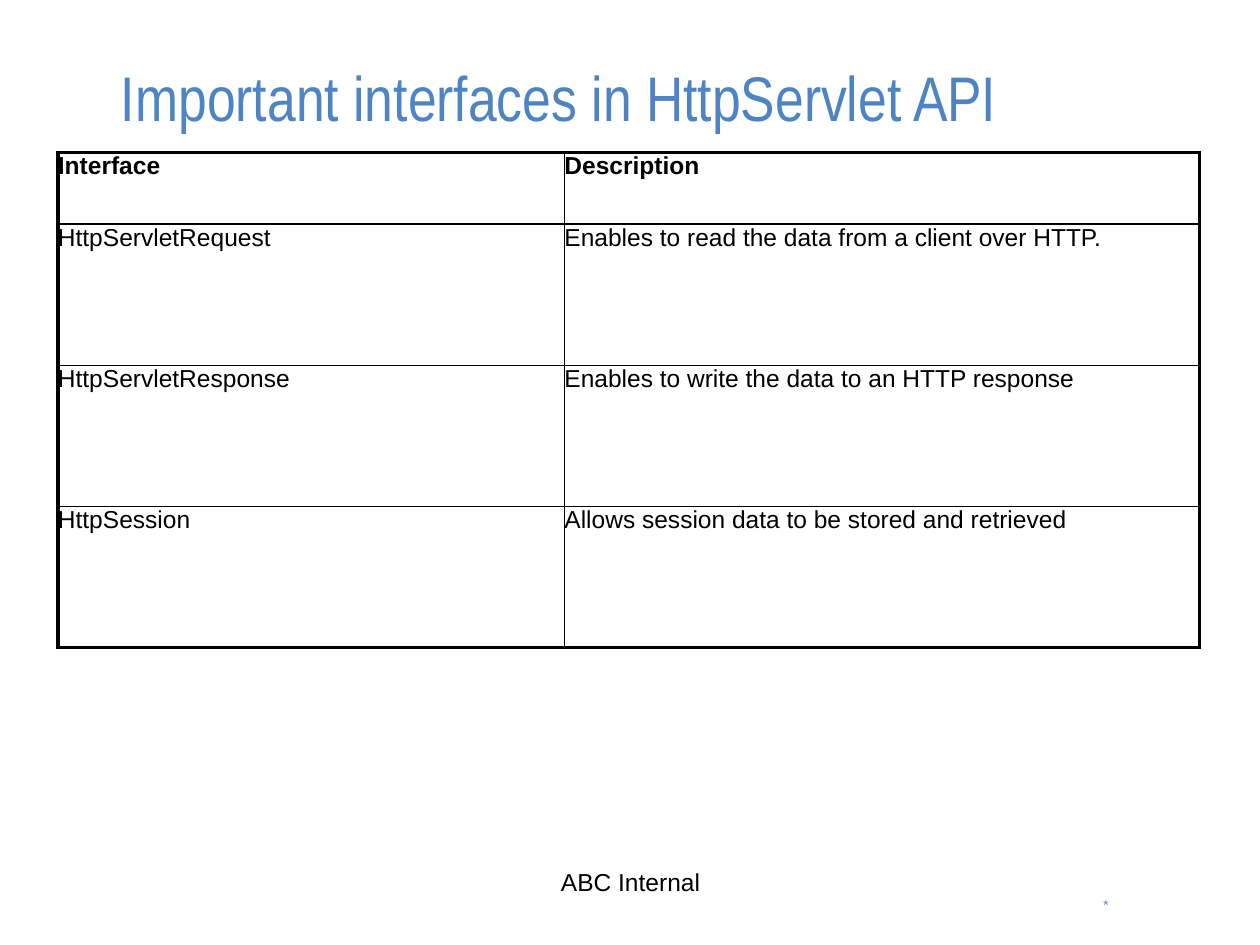
"""Build a slide with a table of the main HttpServlet interfaces."""
from lxml import etree
from pptx import Presentation
from pptx import util as u
from pptx.dml.color import RGBColor
from pptx.enum import text
from pptx.oxml.ns import qn

TITLE = "Important interfaces in HttpServlet API"
FOOTER = "ABC Internal"
MARK = "*"
ROWS = [
    ("Interface", "Description"),
    ("HttpServletRequest", "Enables to read the data from a client over HTTP."),
    ("HttpServletResponse", "Enables to write the data to an HTTP response"),
    ("HttpSession", "Allows session data to be stored and retrieved"),
]
COLUMN_WIDTHS = (4.02, 5.04)
HEADER_HEIGHT, BODY_HEIGHT = 0.57, 1.12
OUTER_LINE, INNER_LINE = 2.25, 1
THEME = {
    "title": ("Arial Narrow", 36, "4E84C4"),
    "body": ("Arial", 14, "000000"),
    "mark": ("Karla", 9, "4E84C4"),
    "border": "000000",
}


def write(frame, content, style, align, bold=False):
    frame.text = content
    para = frame.paragraphs[0]
    para.alignment = align
    name, size, color = THEME[style]
    para.font.name, para.font.size, para.font.bold = name, u.Pt(size), bold
    para.font.color.rgb = RGBColor.from_string(color)


def place(shape, left, top, width, height):
    shape.left, shape.top = u.Inches(left), u.Inches(top)
    shape.width, shape.height = u.Inches(width), u.Inches(height)


def add_text(slide, bounds, content, style, align):
    box = slide.shapes.add_textbox(*map(u.Inches, bounds))
    box.text_frame.word_wrap = True
    write(box.text_frame, content, style, align)


def set_borders(cell, outer_sides):
    properties = cell._tc.get_or_add_tcPr()
    for index, (side, outer) in enumerate(outer_sides.items()):
        width = u.Pt(OUTER_LINE if outer else INNER_LINE)
        line = etree.Element(qn(f"a:ln{side}"), w=str(int(width)))
        fill = etree.SubElement(line, qn("a:solidFill"))
        etree.SubElement(fill, qn("a:srgbClr"), val=THEME["border"])
        properties.insert(index, line)


def add_interface_table(slide, left, top):
    heights = [HEADER_HEIGHT] + [BODY_HEIGHT] * (len(ROWS) - 1)
    last_row, last_column = len(ROWS) - 1, len(COLUMN_WIDTHS) - 1
    bounds = (left, top, sum(COLUMN_WIDTHS), sum(heights))
    table = slide.shapes.add_table(
        len(ROWS), len(COLUMN_WIDTHS), *map(u.Inches, bounds)).table
    table.first_row = table.horz_banding = False
    for column, width in zip(table.columns, COLUMN_WIDTHS):
        column.width = u.Inches(width)
    for r, (values, height) in enumerate(zip(ROWS, heights)):
        table.rows[r].height = u.Inches(height)
        for c, value in enumerate(values):
            cell = table.cell(r, c)
            cell.margin_left = cell.margin_right = 0
            cell.margin_top = cell.margin_bottom = 0
            cell.fill.background()
            write(cell.text_frame, value, "body", text.PP_ALIGN.LEFT, r == 0)
            set_borders(cell, {"L": c == 0, "R": c == last_column,
                               "T": r == 0, "B": r == last_row})


def main():
    deck = Presentation()
    deck.slide_width, deck.slide_height = u.Inches(10), u.Inches(7.5)
    slide = deck.slides.add_slide(deck.slide_layouts[5])
    title = slide.shapes.title
    place(title, 0.86, 0, 8.75, 1.53)
    write(title.text_frame, TITLE, "title", text.PP_ALIGN.LEFT)
    title.text_frame.vertical_anchor = text.MSO_ANCHOR.MIDDLE
    add_text(slide, (7.35, 7.06, 1.55, 0.35), MARK, "mark", text.PP_ALIGN.RIGHT)
    add_text(slide, (3.42, 6.83, 3.17, 0.52), FOOTER, "body", text.PP_ALIGN.CENTER)
    add_interface_table(slide, 0.46, 1.21)
    deck.save("out.pptx")


if __name__ == "__main__":
    main()
